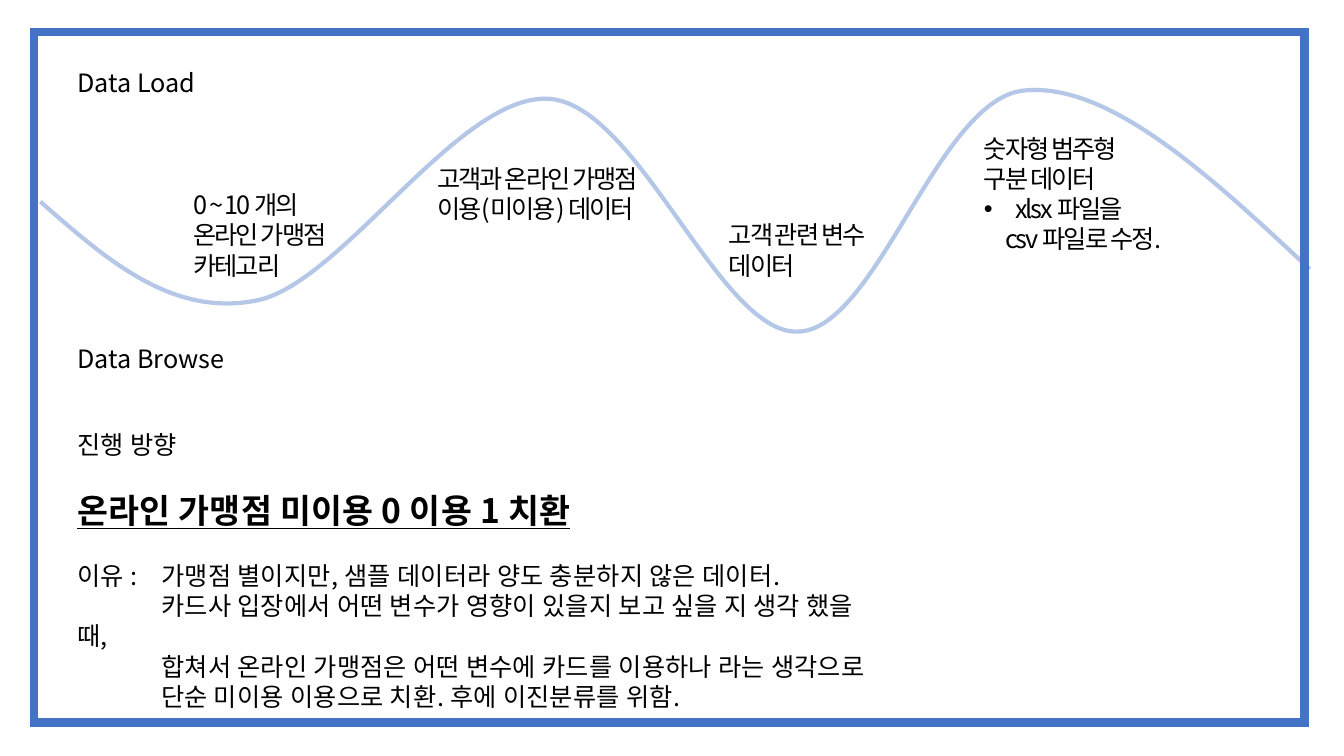
from pptx import Presentation
from pptx.dml.color import RGBColor
from pptx.enum.shapes import MSO_SHAPE
from pptx.enum.text import MSO_AUTO_SIZE
from pptx.oxml.ns import qn
from pptx.util import Inches, Pt
from lxml import etree

FONT = "Noto Sans CJK KR"
COLORS = {"frame": "4472C4", "wave": "B4C7E7", "text": "000000"}
LINE = 1.2  # line height as a multiple of the font size

# Wave: start point, then two control points and an end point per part,
# relative to the left end of the wave
WAVE = [
    (0, 1.11),
    (0.66, 1.69), (1.31, 2.26), (2.15, 2.09),
    (2.99, 1.92), (4.15, 0.04), (5.04, 0.09),
    (5.93, 0.14), (6.73, 2.42), (7.51, 2.4),
    (8.29, 2.39), (8.89, 0.12), (9.74, 0.01),
    (10.58, -0.09), (11.59, 0.84), (12.59, 1.78),
]


def rgb(name):
    return RGBColor.from_string(COLORS[name])


def add_text_box(s, x, y, w, h):
    tf = s.shapes.add_textbox(Inches(x), Inches(y), Inches(w), Inches(h)).text_frame
    tf.word_wrap = True
    tf.auto_size = MSO_AUTO_SIZE.SHAPE_TO_FIT_TEXT
    return tf


def add_par(tf, text, size=18, heading=False, spc=0, before=0,
            margin=0, indent=0, bullet=None):
    p = tf.paragraphs[0]
    if p.runs:
        p = tf.add_paragraph()
    pPr = p._p.get_or_add_pPr()
    pPr.set("marL", str(Inches(margin)))
    pPr.set("indent", str(Inches(indent)))
    p.line_spacing = Pt(size * LINE)
    if before:
        p.space_before = Pt(before)
    if bullet:
        etree.SubElement(pPr, qn("a:buFont"), typeface="Arial")
        etree.SubElement(pPr, qn("a:buChar"), char=bullet)
    r = p.add_run()
    r.text = text
    font = r.font
    font.size = Pt(size)
    font.name = FONT
    font.color.rgb = rgb("text")
    if heading:
        font.bold = font.underline = True
    rPr = r._r.get_or_add_rPr()
    if spc:
        rPr.set("spc", str(round(spc * 100)))
    rPr.find(qn("a:latin")).addnext(rPr.makeelement(qn("a:ea"), {"typeface": FONT}))


def add_wave(s, x, y):
    points = [(Inches(x + px), Inches(y + py)) for px, py in WAVE]
    builder = s.shapes.build_freeform(*points[0])
    builder.add_line_segments(points[3::3], close=False)
    wave = builder.convert_to_shape()
    # Bend each straight part with its two control points
    for i, part in enumerate(list(wave._element.iter(qn("a:lnTo")))):
        curve = part.makeelement(qn("a:cubicBezTo"), {})
        for px, py in points[3 * i + 1:3 * i + 4]:
            etree.SubElement(curve, qn("a:pt"), x=str(px - wave.left), y=str(py - wave.top))
        part.getparent().replace(part, curve)
    wave.shadow.inherit = False
    wave.fill.background()
    wave.line.color.rgb = rgb("wave")
    wave.line.width = Pt(3)


def add_frame(s, x, y, w, h):
    frame = s.shapes.add_shape(MSO_SHAPE.RECTANGLE, Inches(x), Inches(y), Inches(w), Inches(h))
    frame.shadow.inherit = False
    frame.fill.background()
    frame.line.color.rgb = rgb("frame")
    frame.line.width = Pt(6)
    etree.SubElement(frame.line._get_or_add_ln(), qn("a:miter"), lim="800000")


def add_title(s, text, x, y, w):
    add_par(add_text_box(s, x, y, w, 0.4), text)


def add_wave_note(s, pars, x, y, w, h):
    tf = add_text_box(s, x, y, w, h)
    for text, options in pars:
        add_par(tf, text, spc=-1.4, **options)


def add_direction(s, x, y, w, h):
    tf = add_text_box(s, x, y, w, h)
    gap, reason, spc = 18 * LINE, 0.83, 0.2
    add_par(tf, "진행 방향", spc=spc)
    add_par(tf, "온라인 가맹점 미이용 0 이용 1 치환", size=24, heading=True, spc=spc, before=gap)
    add_par(tf, "이유 :\t가맹점 별이지만, 샘플 데이터라 양도 충분하지 않은 데이터.",
            spc=spc, before=gap, margin=reason, indent=-reason)
    for text in ("카드사 입장에서 어떤 변수가 영향이 있을지 보고 싶을 지 생각 했을 때,",
                 "합쳐서 온라인 가맹점은 어떤 변수에 카드를 이용하나 라는 생각으로",
                 "단순 미이용 이용으로 치환. 후에 이진분류를 위함."):
        add_par(tf, text, spc=spc, indent=reason)


def main():
    prs = Presentation()
    prs.slide_width, prs.slide_height = Inches(13.33), Inches(7.5)
    s = prs.slides.add_slide(prs.slide_layouts[6])
    left, width = 0.67, 8.16

    # Wave and frame
    add_wave(s, 0.4, 0.89)
    add_frame(s, 0.34, 0.32, 12.6, 6.85)

    # Data load: notes along the wave
    add_title(s, "Data Load", left, 0.62, width)
    add_wave_note(s, [("0 ~ 10 개의 온라인 가맹점 카테고리", {})], 1.82, 1.83, 1.66, 1.01)
    add_wave_note(s, [("고객과 온라인 가맹점 이용(미이용) 데이터", {})], 4.24, 1.57, 2.22, 1.01)
    add_wave_note(s, [("고객 관련 변수", {}), ("데이터", {})], 7.13, 2.13, 1.58, 0.71)
    add_wave_note(s, [
        ("숫자형 범주형", {}),
        ("구분 데이터", {}),
        ("xlsx 파일을", {"margin": 0.31, "indent": -0.31, "bullet": "•"}),
        ("csv 파일로 수정.", {"margin": 0.21}),
    ], 9.66, 1.27, 2.63, 1.31)

    # Data browse: direction and reason
    add_direction(s, left, 4.21, width, 2.93)
    add_title(s, "Data Browse", left, 3.36, width)

    prs.save("out.pptx")


if __name__ == "__main__":
    main()
